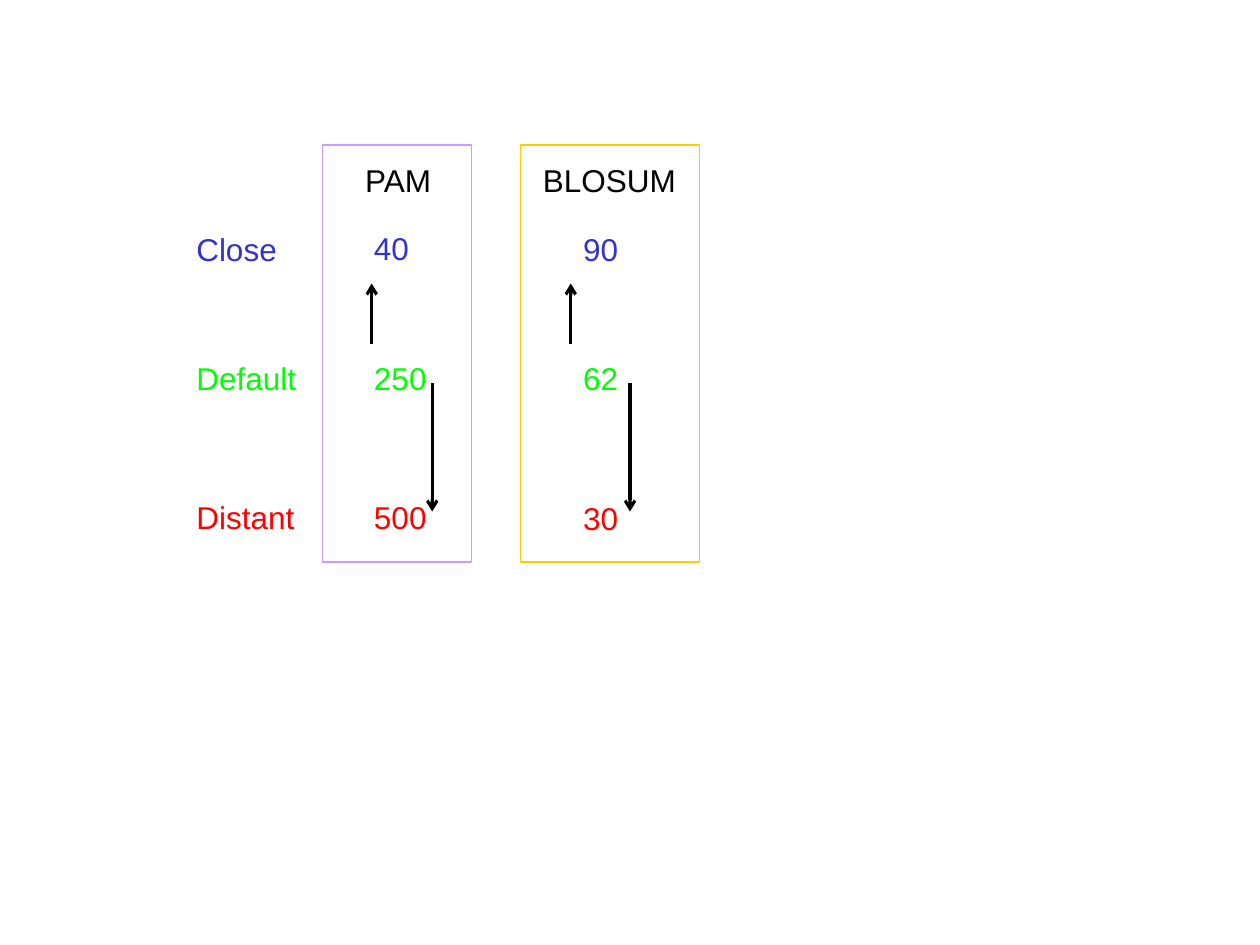
"""Build a slide comparing PAM and BLOSUM matrices by sequence distance."""
from lxml import etree
from pptx import Presentation
from pptx.dml.color import RGBColor
from pptx.enum.shapes import MSO_CONNECTOR, MSO_SHAPE
from pptx.enum.text import MSO_AUTO_SIZE
from pptx.oxml.ns import qn
from pptx.util import Pt

PX = 9144
STRAIGHT = MSO_CONNECTOR.STRAIGHT
RECTANGLE = MSO_SHAPE.RECTANGLE
FIT_SHAPE = MSO_AUTO_SIZE.SHAPE_TO_FIT_TEXT
COLORS = {
    "black": "000000",
    "close": "3333CC",
    "default": "00FF00",
    "distant": "FF0000",
    "pam": "CC99FF",
    "blosum": "FFCC00",
}
FONT_FORMAT = {"name": "Arial", "size": Pt(18)}

presentation = Presentation()
presentation.slide_width = 1000 * PX
presentation.slide_height = 750 * PX
slide = presentation.slides.add_slide(presentation.slide_layouts[6])


def add_label(text, left, top, width, color):
    shape = slide.shapes.add_textbox(left * PX, top * PX, width * PX, 40 * PX)
    shape.text_frame.word_wrap = True
    shape.text_frame.auto_size = FIT_SHAPE
    run = shape.text_frame.paragraphs[0].add_run()
    run.text = text
    for name, value in FONT_FORMAT.items():
        setattr(run.font, name, value)
    run.font.color.rgb = RGBColor.from_string(COLORS[color])


def add_arrow(x, start, end):
    arrow = slide.shapes.add_connector(STRAIGHT, x * PX, start * PX, x * PX, end * PX)
    arrow.line.color.rgb = RGBColor.from_string(COLORS["black"])
    arrow.line.width = Pt(1.75)
    etree.SubElement(arrow.line._get_or_add_ln(), qn("a:tailEnd"), type="arrow")
    etree.SubElement(arrow._element.spPr, qn("a:effectLst"))


rows = [
    ("Close", "close", 178, 87),
    ("Default", "default", 280, 102),
    ("Distant", "distant", 390, 102),
]
for text, color, top, width in rows:
    add_label(text, 146, top, width, color)

matrices = [
    {"name": "PAM", "color": "pam", "box": (256, 118), "title": (280, 95),
     "values_left": 287, "values": [("40", 177), ("250", 280), ("500", 390)],
     "up": 295, "down": 343},
    {"name": "BLOSUM", "color": "blosum", "box": (413, 142), "title": (421, 142),
     "values_left": 453, "values": [("90", 178), ("62", 280), ("30", 391)],
     "up": 453, "down": 500},
]
for matrix in matrices:
    left, width = matrix["box"]
    frame = slide.shapes.add_shape(RECTANGLE, left * PX, 115 * PX, width * PX, 331 * PX)
    frame.shadow.inherit = False
    frame.fill.background()
    frame.line.color.rgb = RGBColor.from_string(COLORS[matrix["color"]])
    frame.line.width = Pt(0.75)

    title_left, title_width = matrix["title"]
    add_label(matrix["name"], title_left, 123, title_width, "black")
    for (value, top), row in zip(matrix["values"], rows):
        add_label(value, matrix["values_left"], top, 87, row[1])
    add_arrow(matrix["up"], 273, 225)
    add_arrow(matrix["down"], 304, 406)

presentation.save("out.pptx")
